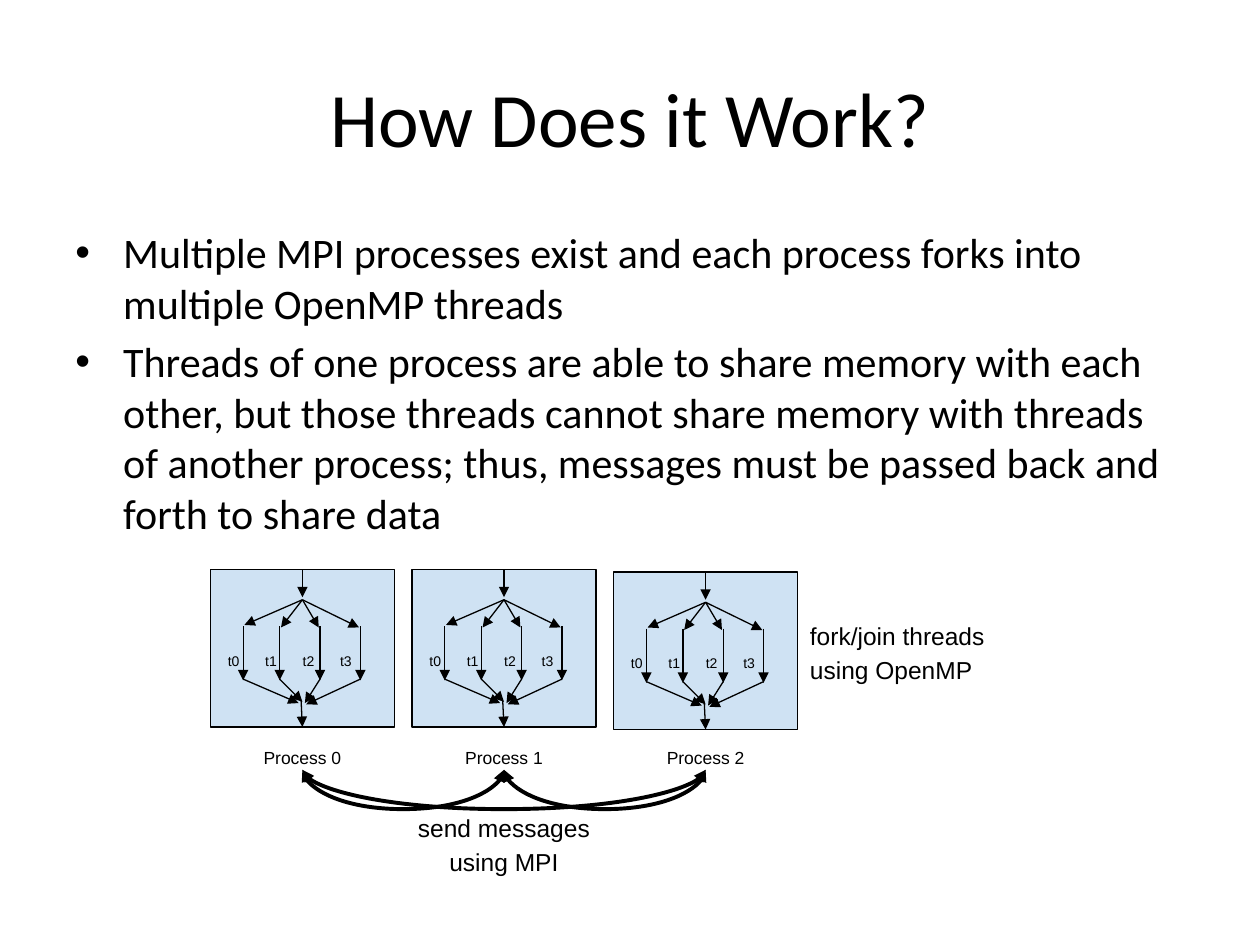
from lxml import etree
from pptx import Presentation
from pptx.dml.color import RGBColor
from pptx.enum.shapes import MSO_CONNECTOR as LINE, MSO_SHAPE as SHAPE
from pptx.enum.text import MSO_ANCHOR as ANCHOR, PP_ALIGN as ALIGN
from pptx.oxml.ns import qn
from pptx.util import Inches, Pt

COLORS = {"ink": "000000", "panel": "CFE2F3"}
BULLETS = [
    "Multiple MPI processes exist and each process forks into multiple OpenMP threads",
    "Threads of one process are able to share memory with each other, but those threads "
    "cannot share memory with threads of another process; thus, messages must be passed "
    "back and forth to share data",
]
PANEL_WIDTH, PANEL_HEIGHT = 1.46, 1.25
PANEL_LEFT, PANEL_PITCH = 1.67, 1.6
PANEL_TOPS = [4.52, 4.52, 4.54]
MIDDLE = PANEL_WIDTH / 2
THREADS = [
    (0.26, (0.27, 0.44), (0.70, 1.06)),
    (0.55, (0.56, 0.46), (0.73, 1.05)),
    (0.87, (0.86, 0.46), (0.75, 1.06)),
    (1.19, (1.18, 0.46), (0.76, 1.07)),
]
MESSAGES = [(1, 2), (2, 0), (0, 1)]
ARC_DEPTH, ARC_FACTOR = 0.22, 396.875


def rgb(name):
    return RGBColor.from_string(COLORS[name])


def add_run(paragraph, text, size, font):
    run = paragraph.add_run()
    run.text = text
    run.font.size = Pt(size)
    run.font.name = font
    run.font.color.rgb = rgb("ink")


def add_frame(slide, left, top, width, height, anchor=ANCHOR.TOP):
    box = slide.shapes.add_textbox(Inches(left), Inches(top), Inches(width), Inches(height))
    box.text_frame.word_wrap = True
    box.text_frame.vertical_anchor = anchor
    return box


def add_label(slide, text, place, size, align=ALIGN.LEFT, anchor=ANCHOR.TOP):
    label = add_frame(slide, *place, anchor)
    frame = label.text_frame
    frame.margin_top = frame.margin_bottom = Inches(0.1)
    paragraph = frame.paragraphs[0]
    paragraph.alignment = align
    paragraph.line_spacing = 1.15
    add_run(paragraph, text, size, "Arial")
    return label


def add_title(slide, text):
    paragraph = add_frame(slide, 0.5, 0.3, 9, 1.25, ANCHOR.MIDDLE).text_frame.paragraphs[0]
    paragraph.alignment = ALIGN.CENTER
    add_run(paragraph, text, 44, "Calibri")


def add_bullets(slide, items):
    frame = add_frame(slide, 0.5, 1.75, 9, 4.95).text_frame
    for index, item in enumerate(items):
        paragraph = frame.add_paragraph() if index else frame.paragraphs[0]
        if index:
            paragraph.space_before = Pt(4.8)
        properties = paragraph._p.get_or_add_pPr()
        properties.set("marL", str(Inches(0.38)))
        properties.set("indent", str(-Inches(0.38)))
        etree.SubElement(properties, qn("a:buFont"), typeface="Arial")
        etree.SubElement(properties, qn("a:buChar"), char="•")
        add_run(paragraph, item, 24, "Calibri")


def style_line(connector, weight, ends):
    connector.line.color.rgb = rgb("ink")
    connector.line.width = Pt(weight)
    line = connector.line._get_or_add_ln()
    for end in ends:
        etree.SubElement(line, qn(f"a:{end}"), type="triangle")
    etree.SubElement(connector._element.spPr, qn("a:effectLst"))


def add_arrow(slide, origin, start, end):
    points = [Inches(base + shift) for point in (start, end) for base, shift in zip(origin, point)]
    arrow = slide.shapes.add_connector(LINE.STRAIGHT, *points)
    style_line(arrow, 0.75, ["tailEnd"])
    return arrow


def add_process(slide, left, top):
    panel = slide.shapes.add_shape(
        SHAPE.RECTANGLE, Inches(left), Inches(top), Inches(PANEL_WIDTH), Inches(PANEL_HEIGHT))
    panel.shadow.inherit = False
    panel.fill.solid()
    panel.fill.fore_color.rgb = rgb("panel")
    panel.line.color.rgb = rgb("ink")
    panel.line.width = Pt(0.75)

    origin = (left, top)
    add_arrow(slide, origin, (MIDDLE, 0), (MIDDLE, 0.22)).begin_connect(panel, 0)
    for index, (x, fork, join) in enumerate(THREADS):
        add_arrow(slide, origin, (MIDDLE, 0.24), fork)
        add_arrow(slide, origin, (x, 0.45), (x, 0.88))
        add_arrow(slide, origin, (x, 0.87), join)
        place = (left + 0.04 + 0.297 * index, top + 0.56, 0.3, 0.19)
        add_label(slide, f"t{index}", place, 8)
    add_arrow(slide, origin, (0.72, 1.04), (MIDDLE, PANEL_HEIGHT)).end_connect(panel, 2)


def add_message(slide, sender, receiver):
    arc = slide.shapes.add_connector(LINE.CURVE, 0, 0, 0, 0)
    arc.begin_connect(sender, 2)
    arc.end_connect(receiver, 2)
    begin, end, level = arc.begin_x, arc.end_x, arc.begin_y
    rightward = end > begin
    span = abs(end - begin)
    transform = arc._element.spPr.get_or_add_xfrm()
    for flag in ("flipH", "flipV"):
        transform.attrib.pop(flag, None)
    transform.set("rot", str((270 if rightward else 90) * 60000))
    if rightward:
        transform.set("flipH", "1")
    arc.left, arc.top = (begin + end) // 2, level - span // 2
    arc.width, arc.height = int(Inches(ARC_DEPTH) / ARC_FACTOR), span
    adjustments = arc._element.spPr.find(qn("a:prstGeom")).find(qn("a:avLst"))
    etree.SubElement(
        adjustments, qn("a:gd"), name="adj1", fmla=f"val {int(ARC_FACTOR * 100000)}")
    style_line(arc, 2.25, ["headEnd", "tailEnd"])


def main():
    deck = Presentation()
    deck.slide_width, deck.slide_height = Inches(10), Inches(7.5)
    slide = deck.slides.add_slide(deck.slide_layouts[6])
    add_title(slide, "How Does it Work?")
    add_bullets(slide, BULLETS)

    names = []
    for index, top in enumerate(PANEL_TOPS):
        left = PANEL_LEFT + PANEL_PITCH * index
        add_process(slide, left, top)
        place = (left, 5.81, PANEL_WIDTH, 0.3)
        names.append(add_label(slide, f"Process {index}", place, 10, ALIGN.CENTER))
    for sender, receiver in MESSAGES:
        add_message(slide, names[sender], names[receiver])

    add_label(slide, "fork/join threads using OpenMP", (6.33, 4.54, 1.84, 1.25), 14,
              anchor=ANCHOR.MIDDLE)
    add_label(slide, "send messages using MPI", (3.08, 6.32, 1.84, 0.73), 14,
              ALIGN.CENTER, ANCHOR.MIDDLE)
    deck.save("out.pptx")


if __name__ == "__main__":
    main()
